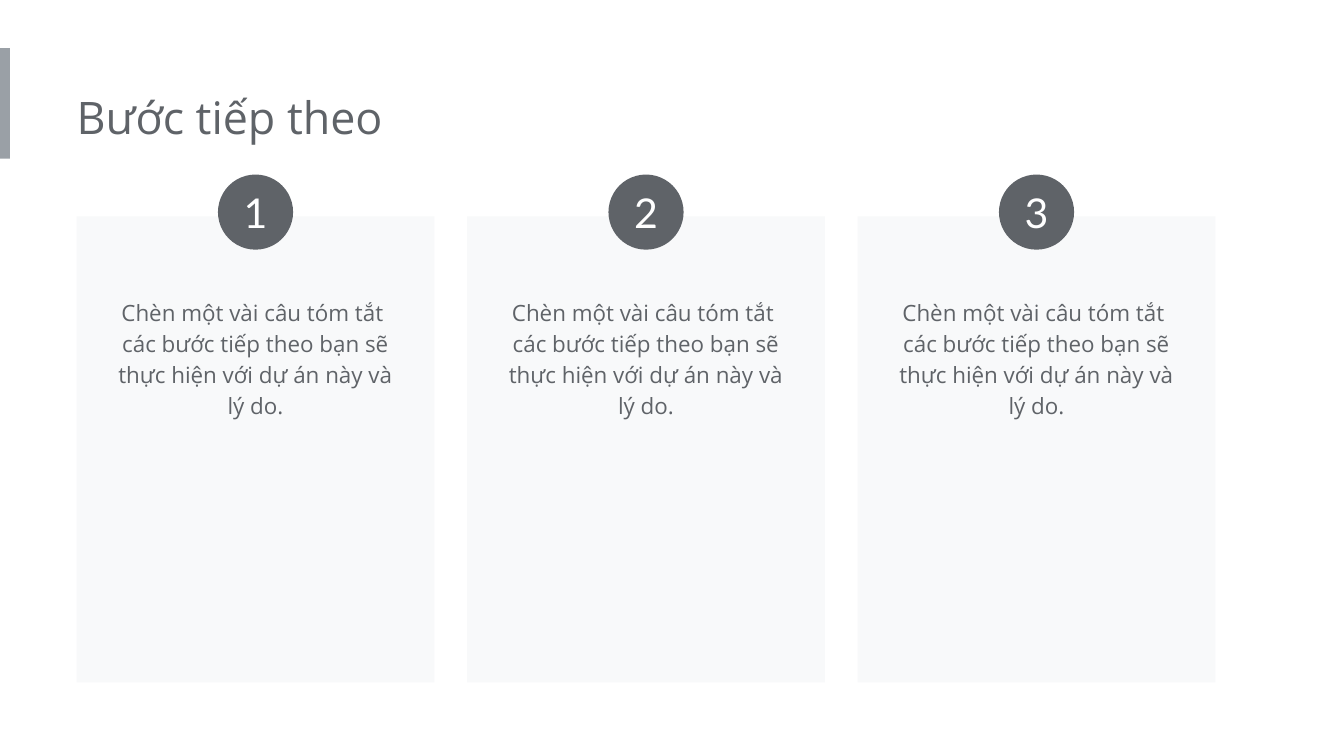
import pptx
import pptx.util
import pptx.dml.color
import pptx.enum.shapes
import pptx.enum.text
from pptx.util import Cm, Pt

MSO_SHAPE = pptx.enum.shapes.MSO_SHAPE
PP_ALIGN = pptx.enum.text.PP_ALIGN
MSO_ANCHOR = pptx.enum.text.MSO_ANCHOR
MSO_AUTO_SIZE = pptx.enum.text.MSO_AUTO_SIZE

COLORS = {"accent": "9AA0A6", "dark": "5F6368", "card": "F8F9FA", "white": "FFFFFF"}
STEPS = ["Chèn một vài câu tóm tắt \ncác bước tiếp theo bạn sẽ thực hiện với dự án này và lý do."] * 3

LEFT, CARD_TOP, CARD_W, CARD_H = 1.45, 4.09, 6.76, 8.81
PITCH = 7.38
TEXT_W = 5.69
BADGE = 1.42


def rgb(name):
    return pptx.dml.color.RGBColor.from_string(COLORS[name])


def write(tf, text, font, size, color, align, insets):
    tf.word_wrap = True
    tf.margin_left, tf.margin_top, tf.margin_right, tf.margin_bottom = map(Cm, insets)
    p = tf.paragraphs[0]
    p.text = text
    p.alignment = align
    p.font.name = font
    p.font.size = Pt(size)
    p.font.color.rgb = rgb(color)
    return p


def add_block(s, kind, x, y, w, h, color):
    sp = s.shapes.add_shape(kind, Cm(x), Cm(y), Cm(w), Cm(h))
    sp.shadow.inherit = False
    sp.fill.solid()
    sp.fill.fore_color.rgb = rgb(color)
    sp.line.fill.background()
    return sp


def set_title(s, text):
    sp = s.shapes.title
    sp.left, sp.top, sp.width, sp.height = Cm(LEFT), Cm(1.45), Cm(13.69), Cm(1.55)
    tf = sp.text_frame
    write(tf, text, "Open Sans", 24, "dark", PP_ALIGN.LEFT, (0, 0.25, 0.25, 0.25))
    tf.vertical_anchor = MSO_ANCHOR.TOP
    tf.auto_size = MSO_AUTO_SIZE.SHAPE_TO_FIT_TEXT


def add_card(s, x, text):
    add_block(s, MSO_SHAPE.RECTANGLE, x, CARD_TOP, CARD_W, CARD_H, "card")
    sp = s.shapes.add_textbox(Cm(x + (CARD_W - TEXT_W) / 2), Cm(5.33), Cm(TEXT_W), Cm(2.79))
    p = write(sp.text_frame, text, "Open Sans", 12, "dark", PP_ALIGN.CENTER, [0.25] * 4)
    p.line_spacing = 1.15
    sp.text_frame.auto_size = MSO_AUTO_SIZE.SHAPE_TO_FIT_TEXT


def add_badge(s, x, number):
    sp = add_block(s, MSO_SHAPE.OVAL, x + (CARD_W - BADGE) / 2, 3.3, BADGE, BADGE, "dark")
    write(sp.text_frame, str(number), "Lato", 22, "white", PP_ALIGN.CENTER, [0] * 4)
    sp.text_frame.vertical_anchor = MSO_ANCHOR.MIDDLE


def main():
    prs = pptx.Presentation()
    prs.slide_width, prs.slide_height = Cm(25.4), Cm(14.29)
    s = prs.slides.add_slide(prs.slide_layouts[5])
    add_block(s, MSO_SHAPE.RECTANGLE, 0, 0.91, 0.19, 2.09, "accent")
    set_title(s, "Bước tiếp theo")
    for i, text in enumerate(STEPS):
        add_card(s, LEFT + i * PITCH, text)
        add_badge(s, LEFT + i * PITCH, i + 1)
    prs.save("out.pptx")


if __name__ == "__main__":
    main()
